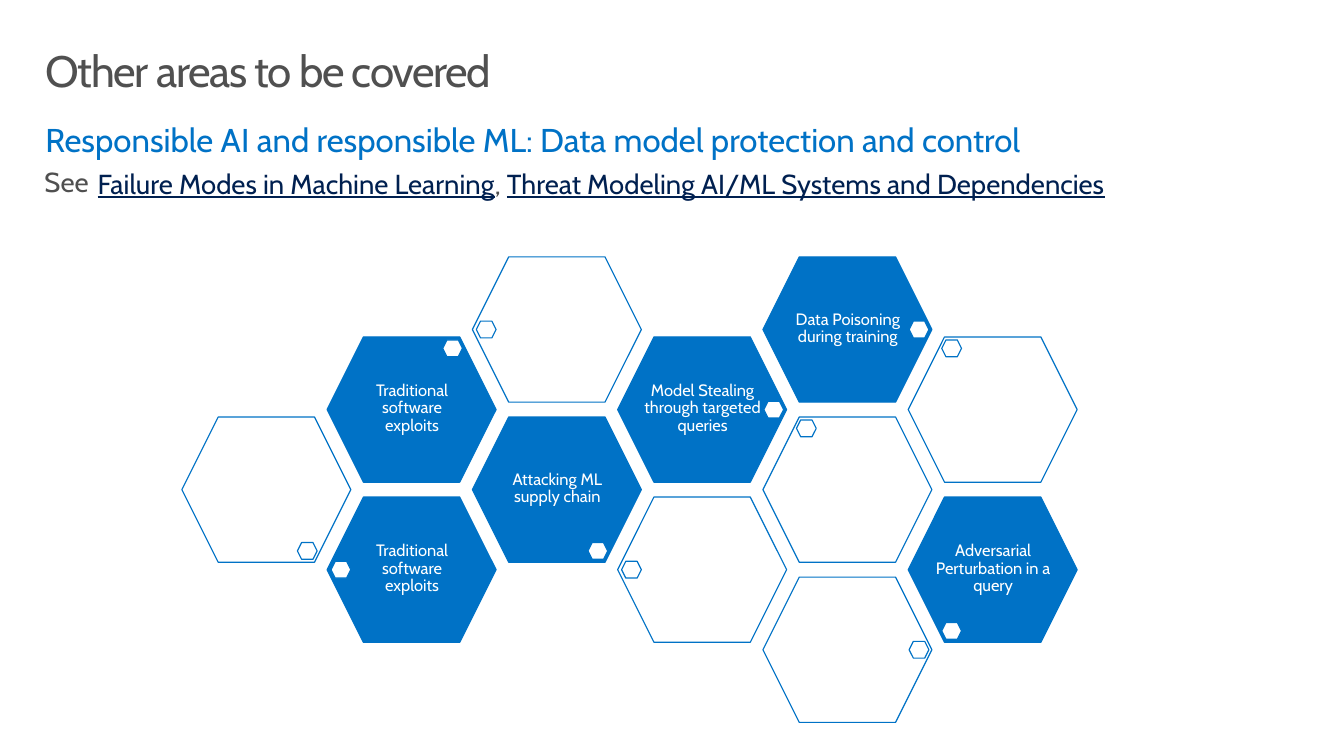
from dataclasses import dataclass
from enum import Enum

import pptx
import pptx.dml.color
import pptx.enum.shapes
import pptx.enum.text
import pptx.oxml.ns
import pptx.util
from lxml import etree

FONT = "Cabin"
BLUE, NAVY, GREY, WHITE = "0072C6", "002050", "505050", "FFFFFF"
COLUMNS, ROWS = 136, 76.5
CELL = pptx.util.Inches(0.1)
ANCHOR = pptx.enum.text.MSO_ANCHOR
ALIGN = pptx.enum.text.PP_ALIGN
AUTO_SIZE = pptx.enum.text.MSO_AUTO_SIZE


@dataclass(frozen=True)
class Area:
    """A rectangle in cells of the slide grid."""
    column: float
    row: float
    columns: float
    rows: float

    def inside(self, parent: "Area") -> "Area":
        return Area(parent.column + self.column, parent.row + self.row,
                    self.columns, self.rows)

    def lengths(self) -> list[int]:
        return [round(cells * CELL)
                for cells in (self.column, self.row, self.columns, self.rows)]


class Corner(Enum):
    """Place of the small hexagon, in cells from the tile's top left."""
    LEFT = (0.4, 6.5)
    RIGHT = (14.8, 6.5)
    UPPER_LEFT = (3.4, 0.3)
    UPPER_RIGHT = (11.7, 0.3)
    LOWER_LEFT = (3.4, 12.7)
    LOWER_RIGHT = (11.7, 12.7)


@dataclass(frozen=True)
class Tile:
    """A honeycomb tile; one step down is half a tile. No label means unfilled."""
    across: int
    down: int
    corner: Corner
    label: str = ""

    def area(self) -> Area:
        return Area(18.4 + 14.7 * self.across, 26 + 8.1 * self.down, 17.1, 14.7)


@dataclass(frozen=True)
class Piece:
    text: str
    colour: str
    underline: bool = False


TITLE_AREA = Area(3, 4, 130, 10)
BODY_AREA = Area(3, 11.5, 130, 10.1)
LINKS_AREA = Area(8.9, 16.4, 122.1, 4.4)
SEE_AREA = Area(2.5, 15.5, 8.5, 6.3)
LABEL_AREA = Area(2.7, 2.2, 11.8, 10.1)

TILES = [
    Tile(1, 3, Corner.LEFT, "Traditional software exploits"),
    Tile(0, 2, Corner.LOWER_RIGHT),
    Tile(2, 2, Corner.LOWER_RIGHT, "Attacking ML supply chain"),
    Tile(3, 3, Corner.LEFT),
    Tile(1, 1, Corner.UPPER_RIGHT, "Traditional software exploits"),
    Tile(2, 0, Corner.LEFT),
    Tile(3, 1, Corner.RIGHT, "Model Stealing through targeted queries"),
    Tile(4, 2, Corner.UPPER_LEFT),
    Tile(4, 0, Corner.RIGHT, "Data Poisoning during training"),
    Tile(5, 1, Corner.UPPER_LEFT),
    Tile(5, 3, Corner.LOWER_LEFT, "Adversarial Perturbation in a query"),
    Tile(4, 4, Corner.RIGHT),
]

LINKS = [
    Piece("Failure Modes in Machine Learning", NAVY, True),
    Piece(", ", GREY),
    Piece("Threat Modeling AI/ML Systems and Dependencies", NAVY, True),
]


def colour(hex_code: str) -> pptx.dml.color.RGBColor:
    return pptx.dml.color.RGBColor.from_string(hex_code)


def write(box, pieces: list[Piece], size: float, margins: tuple[float, float],
          align=ALIGN.LEFT, anchor=ANCHOR.TOP, spacing: float = 0.9,
          wrap: bool = True) -> None:
    """Fill a box with one paragraph; margins are cells at the sides and ends."""
    frame = box.text_frame
    frame.auto_size = AUTO_SIZE.NONE
    frame.word_wrap = wrap
    frame.vertical_anchor = anchor
    side, end = (round(cells * CELL) for cells in margins)
    frame.margin_left = frame.margin_right = side
    frame.margin_top = frame.margin_bottom = end
    para = frame.paragraphs[0]
    para.alignment = align
    para.line_spacing = spacing
    para.space_before = pptx.util.Pt(0)
    para.font.name = FONT
    para.font.size = pptx.util.Pt(size)
    para.font.color.rgb = colour(pieces[0].colour)
    for piece in pieces:
        span = para.add_run()
        span.text = piece.text
        span.font.name = FONT
        span.font.size = pptx.util.Pt(size)
        span.font.color.rgb = colour(piece.colour)
        if piece.underline:
            span.font.underline = True


def move(placeholder, area: Area) -> None:
    (placeholder.left, placeholder.top,
     placeholder.width, placeholder.height) = area.lengths()


def remove_bullet(para) -> None:
    properties = para._p.get_or_add_pPr()
    properties.set("marL", "0")
    properties.set("indent", "0")
    etree.SubElement(properties, pptx.oxml.ns.qn("a:buNone"))


def add_hexagon(shapes, area: Area, fill: str) -> None:
    hexagon = shapes.add_shape(pptx.enum.shapes.MSO_SHAPE.HEXAGON, *area.lengths())
    hexagon.shadow.inherit = False
    hexagon.fill.solid()
    hexagon.fill.fore_color.rgb = colour(fill)
    hexagon.line.color.rgb = colour(BLUE)
    hexagon.line.width = pptx.util.Pt(0.85)


def add_tile(shapes, tile: Tile) -> None:
    area = tile.area()
    add_hexagon(shapes, area, BLUE if tile.label else WHITE)
    if tile.label:
        label = shapes.add_textbox(*LABEL_AREA.inside(area).lengths())
        write(label, [Piece(tile.label, WHITE)], 12, (0, 0.2),
              ALIGN.CENTER, ANCHOR.MIDDLE)
    add_hexagon(shapes, Area(*tile.corner.value, 2, 1.7).inside(area), WHITE)


def main() -> None:
    deck = pptx.Presentation()
    deck.slide_width = round(COLUMNS * CELL)
    deck.slide_height = round(ROWS * CELL)
    page = deck.slides.add_slide(deck.slide_layouts[1])

    title, body = page.shapes.title, page.placeholders[1]
    move(body, BODY_AREA)
    remove_bullet(body.text_frame.paragraphs[0])
    write(body, [Piece("Responsible AI and responsible ML: "
                       "Data model protection and control", BLUE)], 24, (1.6, 1))
    move(title, TITLE_AREA)
    write(title, [Piece("Other areas to be covered", GREY)], 32, (1.6, 1))
    heading = title.text_frame.paragraphs[0].runs[0]
    heading._r.get_or_add_rPr().set("spc", "-100")

    honeycomb = page.shapes.add_group_shape()
    for tile in TILES:
        add_tile(honeycomb.shapes, tile)

    links = page.shapes.add_textbox(*LINKS_AREA.lengths())
    write(links, LINKS, 20, (1, 0.5), spacing=1)
    see = page.shapes.add_textbox(*SEE_AREA.lengths())
    write(see, [Piece("See", GREY)], 20, (2, 1.6), wrap=False)

    deck.save("out.pptx")


if __name__ == "__main__":
    main()
